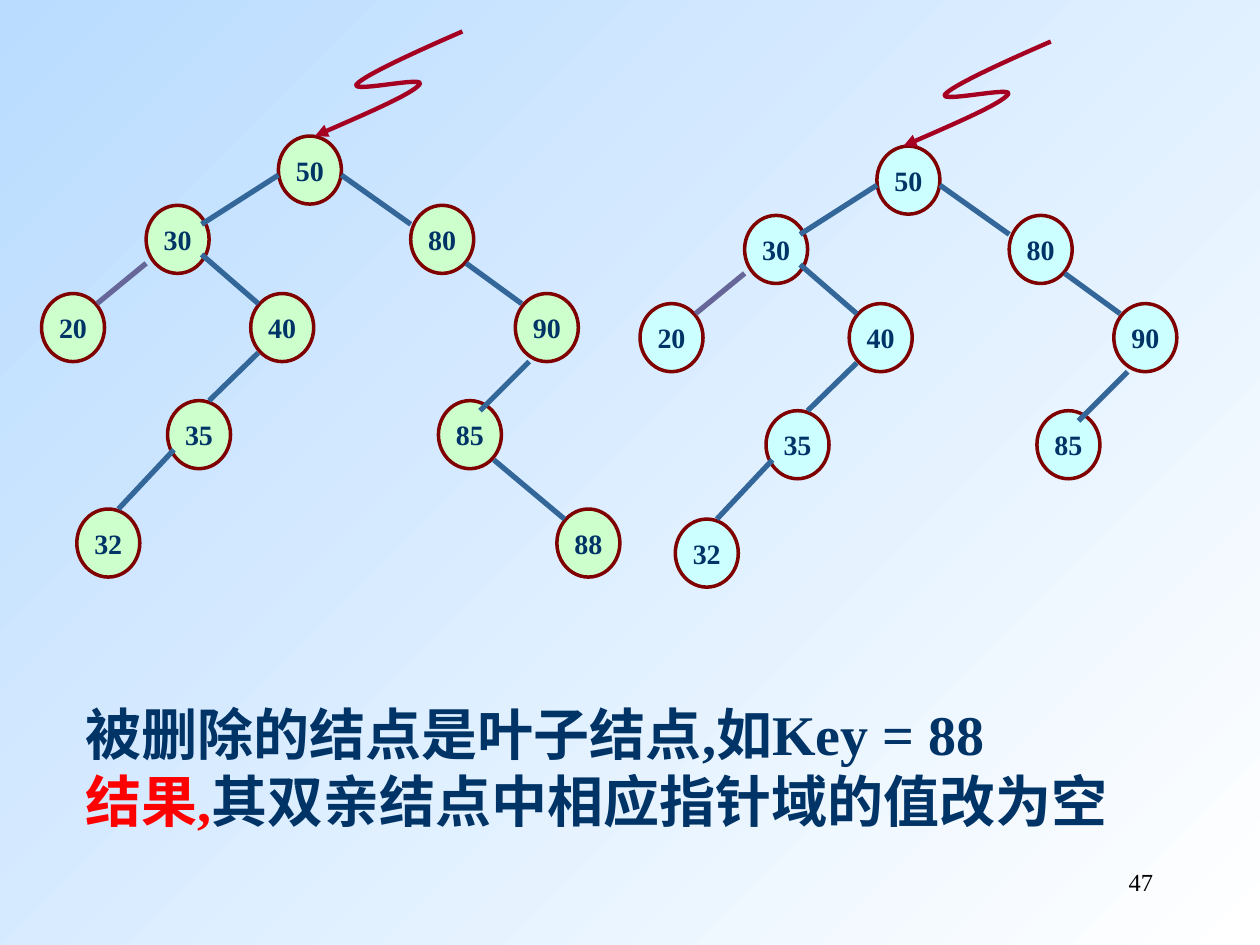
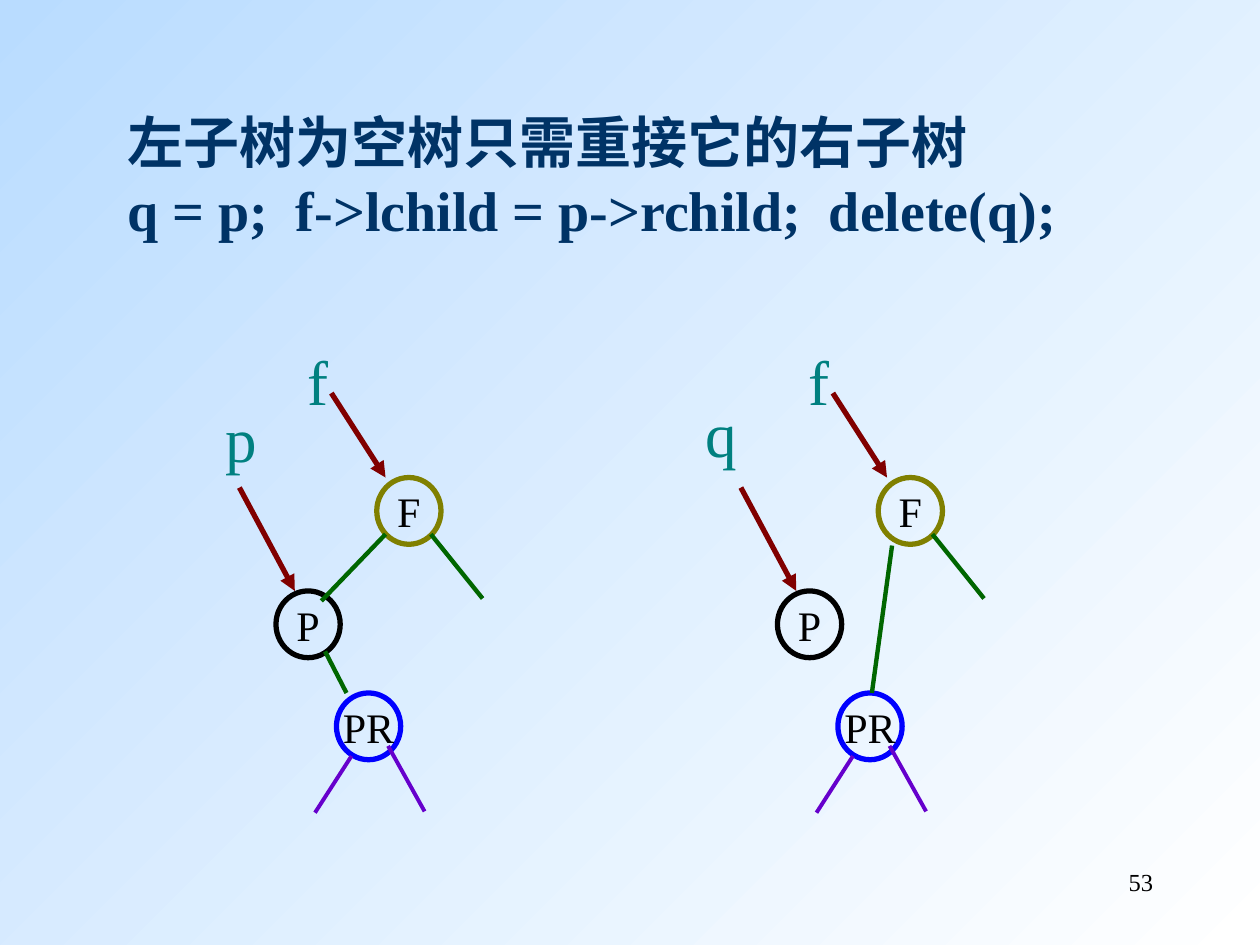
import dataclasses
import itertools
import typing

import lxml.etree
import pptx
import pptx.dml.color
import pptx.enum.shapes
import pptx.enum.text
import pptx.oxml
import pptx.oxml.ns
import pptx.util

Inches = pptx.util.Inches
Pt = pptx.util.Pt
Align = pptx.enum.text.PP_ALIGN
Point = tuple[float, float]

FONT = "Times New Roman"
SKY, WHITE, NAVY, BLACK = "B9DCFF", "FFFFFF", "003366", "000000"
MAROON, CRIMSON, RED, TEAL = "800000", "A50021", "FF0000", "008080"
STEEL, SLATE, GREEN, VIOLET = "336699", "666699", "006600", "6600CC"
OLIVE, BLUE, MINT, ICE = "808000", "0000FF", "CCFFCC", "CCFFFF"

HEADING = {"size": Pt(32), "bold": True}
KEY = {"size": Pt(16), "bold": True}
LETTER = {"size": Pt(24)}
POINTER = {"size": Pt(36)}
NUMBER = {"size": Pt(14)}


@dataclasses.dataclass
class Span:
    text: str
    ink: str = NAVY


@dataclasses.dataclass
class Node:
    text: str
    left: float
    top: float
    outline: str = MAROON


@dataclasses.dataclass
class NodeStyle:
    width: float
    height: float
    weight: float
    ink: str
    font: dict[str, typing.Any]
    fill: str | None = None


@dataclasses.dataclass
class Edge:
    start: Point
    end: Point
    ink: str = STEEL
    weight: float = 3
    arrow: bool = False


@dataclasses.dataclass
class Label:
    text: str
    left: float
    top: float
    width: float


# Binary search tree: 88 is the leaf to delete
TREE_NODES = [
    Node("50", 2.21, 1.08), Node("30", 1.16, 1.63), Node("80", 3.26, 1.63),
    Node("20", 0.33, 2.33), Node("90", 4.09, 2.33), Node("85", 3.48, 3.18),
    Node("40", 1.99, 2.33), Node("35", 1.33, 3.18), Node("32", 0.61, 4.04),
]
TREE_EDGES = [
    Edge((2.21, 1.39), (1.6, 1.78)), Edge((1.16, 2.09), (0.77, 2.41), SLATE),
    Edge((2.71, 1.39), (3.26, 1.78)), Edge((1.6, 2.02), (2.05, 2.41)),
    Edge((2.05, 2.8), (1.66, 3.18)), Edge((3.7, 2.09), (4.14, 2.41)),
    Edge((4.2, 2.87), (3.81, 3.26)), Edge((1.38, 3.57), (0.94, 4.04)),
]
LEAF_NODE = Node("88", 4.42, 4.04)
LEAF_EDGE = Edge((3.92, 3.65), (4.48, 4.12))

# Start, then two control points and an end for each curve
SQUIGGLE = [
    (1.17, 0), (0.78, 0.17), (0.39, 0.35), (0.33, 0.42),
    (0.28, 0.49), (0.89, 0.35), (0.83, 0.42),
    (0.78, 0.49), (0.39, 0.66), (0, 0.83),
]

# Relinking the right subtree of P
LINK_NODES = [
    Node("P", 2.19, 4.69, BLACK), Node("F", 2.99, 3.79, OLIVE),
    Node("PR", 2.67, 5.5, BLUE),
]
LINK_EDGES = [
    Edge((2.79, 6), (2.5, 6.45), VIOLET, 2.25),
    Edge((3.08, 5.92), (3.37, 6.44), VIOLET, 2.25),
    Edge((3.42, 4.24), (3.83, 4.75), GREEN, 2.5),
    Edge((1.9, 3.87), (2.34, 4.69), MAROON, arrow=True),
    Edge((2.63, 3.12), (3.06, 3.79), MAROON, arrow=True),
]
BEFORE_EDGES = [
    Edge((3.06, 4.24), (2.55, 4.77), GREEN, 2.5),
    Edge((2.58, 5.17), (2.75, 5.5), GREEN, 2.5),
]
AFTER_EDGES = [Edge((3.1, 4.33), (2.94, 5.5), GREEN, 2.5)]
F_LABEL = Label("f", 2.34, 2.67, 0.32)
P_LABEL = Label("p", 1.69, 3.12, 0.45)
Q_LABEL = Label("q", 1.52, 3.08, 0.5)


def colour(value: str) -> pptx.dml.color.RGBColor:
    return pptx.dml.color.RGBColor.from_string(value)


def add_spans(para, spans: list[Span], font: dict[str, typing.Any]) -> None:
    for span in spans:
        run = para.add_run()
        run.text = span.text
        for name, value in ({"name": FONT} | font).items():
            setattr(run.font, name, value)
        run.font.color.rgb = colour(span.ink)


def add_text(page, left: float, top: float, width: float, height: float,
             lines: list[list[Span]], font: dict[str, typing.Any],
             align=Align.LEFT, wrap: bool = True):
    frame = page.shapes.add_textbox(
        Inches(left), Inches(top), Inches(width), Inches(height)).text_frame
    frame.word_wrap = wrap
    for index, spans in enumerate(lines):
        para = frame.add_paragraph() if index else frame.paragraphs[0]
        para.alignment = align
        add_spans(para, spans, font)
    return frame


def add_page(deck, number: str):
    page = deck.slides.add_slide(deck.slide_layouts[6])
    fill = page.background.fill
    fill.gradient()
    fill.gradient_angle = 315
    for stop, shade in zip(fill.gradient_stops, (SKY, WHITE)):
        stop.color.rgb = colour(shade)
    add_text(page, 7.17, 6.83, 2.08, 0.5, [[Span(number, BLACK)]],
             NUMBER, Align.RIGHT)
    return page


def set_line(line, ink: str, weight: float, arrow: bool = False) -> None:
    line.color.rgb = colour(ink)
    line.width = Pt(weight)
    if arrow:
        tail = lxml.etree.SubElement(
            line.fill._xPr, pptx.oxml.ns.qn("a:tailEnd"))
        tail.set("type", "triangle")


def add_node(page, node: Node, style: NodeStyle, dx: float, dy: float) -> None:
    shape = page.shapes.add_shape(
        pptx.enum.shapes.MSO_SHAPE.OVAL, Inches(node.left + dx),
        Inches(node.top + dy), Inches(style.width), Inches(style.height))
    shape.shadow.inherit = False
    if style.fill:
        shape.fill.solid()
        shape.fill.fore_color.rgb = colour(style.fill)
    else:
        shape.fill.background()
    set_line(shape.line, node.outline, style.weight)
    frame = shape.text_frame
    frame.word_wrap = False
    frame.vertical_anchor = pptx.enum.text.MSO_ANCHOR.MIDDLE
    frame.paragraphs[0].alignment = Align.CENTER
    add_spans(frame.paragraphs[0], [Span(node.text, style.ink)], style.font)


def add_edge(page, edge: Edge, dx: float, dy: float) -> None:
    ends = [Inches(value + shift) for point in (edge.start, edge.end)
            for value, shift in zip(point, (dx, dy))]
    connector = page.shapes.add_connector(
        pptx.enum.shapes.MSO_CONNECTOR.STRAIGHT, *ends)
    set_line(connector.line, edge.ink, edge.weight, edge.arrow)
    lxml.etree.SubElement(
        connector.element.spPr, pptx.oxml.ns.qn("a:effectLst"))


def add_graph(page, nodes: list[Node], edges: list[Edge], style: NodeStyle,
              dx: float = 0, dy: float = 0) -> None:
    for node in nodes:
        add_node(page, node, style, dx, dy)
    for edge in edges:
        add_edge(page, edge, dx, dy)


def add_squiggle(page, left: float, top: float) -> None:
    points = [(Inches(left + x), Inches(top + y)) for x, y in SQUIGGLE]
    builder = page.shapes.build_freeform(*points[0])
    builder.add_line_segments(points[1:], close=False)
    shape = builder.convert_to_shape()
    shape.shadow.inherit = False
    shape.fill.background()
    set_line(shape.line, CRIMSON, 2.5, arrow=True)
    # Turn each three straight segments into one cubic curve
    segments = shape.element.xpath(".//a:lnTo")
    outline = segments[0].getparent()
    for first in range(0, len(segments), 3):
        curve = lxml.etree.SubElement(
            outline, pptx.oxml.ns.qn("a:cubicBezTo"))
        for segment in segments[first:first + 3]:
            curve.append(segment[0])
            outline.remove(segment)


def build_leaf_page(deck) -> None:
    page = add_page(deck, "47")
    add_text(page, 0.58, 5.5, 8.5, 1.7, [
        [Span("被删除的结点是叶子结点,如Key = 88")],
        [Span("结果,", RED), Span("其双亲结点中相应指针域的值改为空")],
    ], HEADING)
    before = NodeStyle(0.5, 0.54, 2, NAVY, KEY, MINT)
    after = dataclasses.replace(before, fill=ICE)
    add_graph(page, TREE_NODES + [LEAF_NODE], TREE_EDGES + [LEAF_EDGE], before)
    add_graph(page, TREE_NODES, TREE_EDGES, after, 4.75, 0.08)
    add_squiggle(page, 2.5, 0.25)
    add_squiggle(page, 7.17, 0.33)


def build_relink_page(deck) -> None:
    page = add_page(deck, "53")
    frame = add_text(page, 0.91, 0.54, 7.59, 1.44, [
        [Span("左子树为空树只需重接它的右子树")],
        [Span("q = p;  f->lchild = p->rchild;  delete(q);")],
    ], HEADING, wrap=False)
    frame.paragraphs[0].line_spacing = 1.5
    style = NodeStyle(0.51, 0.53, 3, BLACK, LETTER)
    stages = [(BEFORE_EDGES, P_LABEL), (AFTER_EDGES, Q_LABEL)]
    for (edges, label), dx in zip(stages, itertools.count(0, 3.98)):
        add_graph(page, LINK_NODES, LINK_EDGES + edges, style, dx)
        for name in (F_LABEL, label):
            add_text(page, name.left + dx, name.top, name.width, 0.7,
                     [[Span(name.text, TEAL)]], POINTER)


def main() -> None:
    deck = pptx.Presentation()
    deck.slide_width, deck.slide_height = Inches(10), Inches(7.5)
    build_leaf_page(deck)
    build_relink_page(deck)
    deck.save("out.pptx")


if __name__ == "__main__":
    main()
